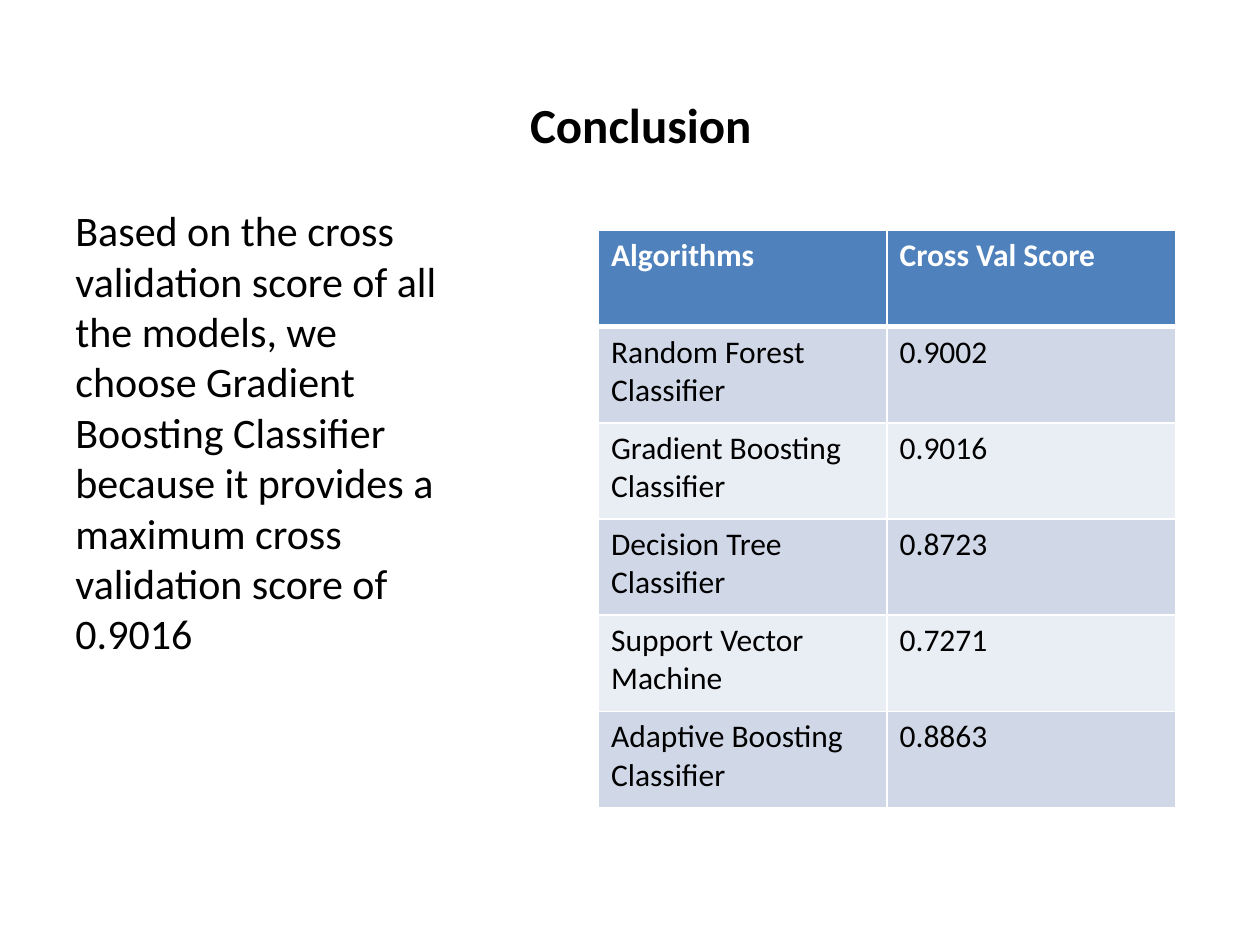
from lxml.etree import SubElement
from pptx import Presentation
from pptx.dml.color import RGBColor
from pptx.enum.text import MSO_ANCHOR as ANCHOR, PP_ALIGN as ALIGN
from pptx.oxml.ns import qn
from pptx.util import Inches, Pt

WIDTH, HEIGHT = 10, 7.5
FONT = "Calibri"
BLACK, WHITE, BLUE = "000000", "FFFFFF", "4F81BD"
BANDS = ("D0D8E8", "E9EDF4")
SCORES = [
    ("Algorithms", "Cross Val Score"),
    ("Random Forest Classifier", "0.9002"),
    ("Gradient Boosting Classifier", "0.9016"),
    ("Decision Tree Classifier", "0.8723"),
    ("Support Vector Machine", "0.7271"),
    ("Adaptive Boosting Classifier", "0.8863"),
]


def rgb(value):
    return RGBColor.from_string(value)


def write(tf, text, color=BLACK, align=ALIGN.LEFT, **fmt):
    p = tf.paragraphs[0]
    p.alignment = align
    r = p.add_run()
    r.text = text
    r.font.color.rgb = rgb(color)
    for name, value in {"name": FONT, **fmt}.items():
        setattr(r.font, name, value)


def add_text(slide, box, text, frame, **fmt):
    tf = slide.shapes.add_textbox(*map(Inches, box)).text_frame
    for name, value in {"word_wrap": True, **frame}.items():
        setattr(tf, name, value)
    write(tf, text, **fmt)


def set_borders(cell, bottom):
    tc_pr = cell._tc.get_or_add_tcPr()
    widths = {"a:lnL": 1, "a:lnR": 1, "a:lnT": 1, "a:lnB": bottom}
    for i, (tag, width) in enumerate(widths.items()):
        ln = SubElement(tc_pr, qn(tag), w=str(Pt(width)))
        fill = SubElement(ln, qn("a:solidFill"))
        SubElement(fill, qn("a:srgbClr"), val=WHITE)
        tc_pr.insert(i, ln)  # borders go before the fill


def add_title(slide, box):
    frame = {"vertical_anchor": ANCHOR.BOTTOM, "margin_bottom": Inches(0.36)}
    add_text(slide, box, "Conclusion", frame,
             align=ALIGN.CENTER, size=Pt(28), bold=True)


def add_body(slide, box):
    text = ("Based on the cross validation score of all the models, we choose "
            "Gradient Boosting Classifier because it provides a maximum cross "
            "validation score of 0.9016")
    add_text(slide, box, text, {}, size=Pt(24))


def add_scores(slide, box):
    rows, cols = len(SCORES), len(SCORES[0])
    table = slide.shapes.add_table(rows, cols, *map(Inches, box)).table
    for i, values in enumerate(SCORES):
        head = i == 0
        for j, value in enumerate(values):
            cell = table.cell(i, j)
            cell.fill.solid()
            cell.fill.fore_color.rgb = rgb(BLUE if head else BANDS[(i - 1) % 2])
            set_borders(cell, 3 if head or i == 1 and False else 1)
            write(cell.text_frame, value, WHITE if head else BLACK,
                  size=Pt(18), bold=head)
    # The rule under the header is shared with the first data row
    for cell in table.rows[1].cells:
        cell._tc.tcPr.find(qn("a:lnT")).set("w", str(Pt(3)))


def main():
    prs = Presentation()
    prs.slide_width, prs.slide_height = Inches(WIDTH), Inches(HEIGHT)
    slide = prs.slides.add_slide(prs.slide_layouts[6])
    left, top = 0.05 * WIDTH, 0.21 * HEIGHT
    add_title(slide, (left, 0.04 * HEIGHT, 0.917 * WIDTH, 0.17 * HEIGHT))
    add_body(slide, (left, top, 0.329 * WIDTH, 0.684 * HEIGHT))
    add_scores(slide, (0.475 * WIDTH, 0.244 * HEIGHT, 4.58, 4.58))
    prs.save("out.pptx")


if __name__ == "__main__":
    main()
